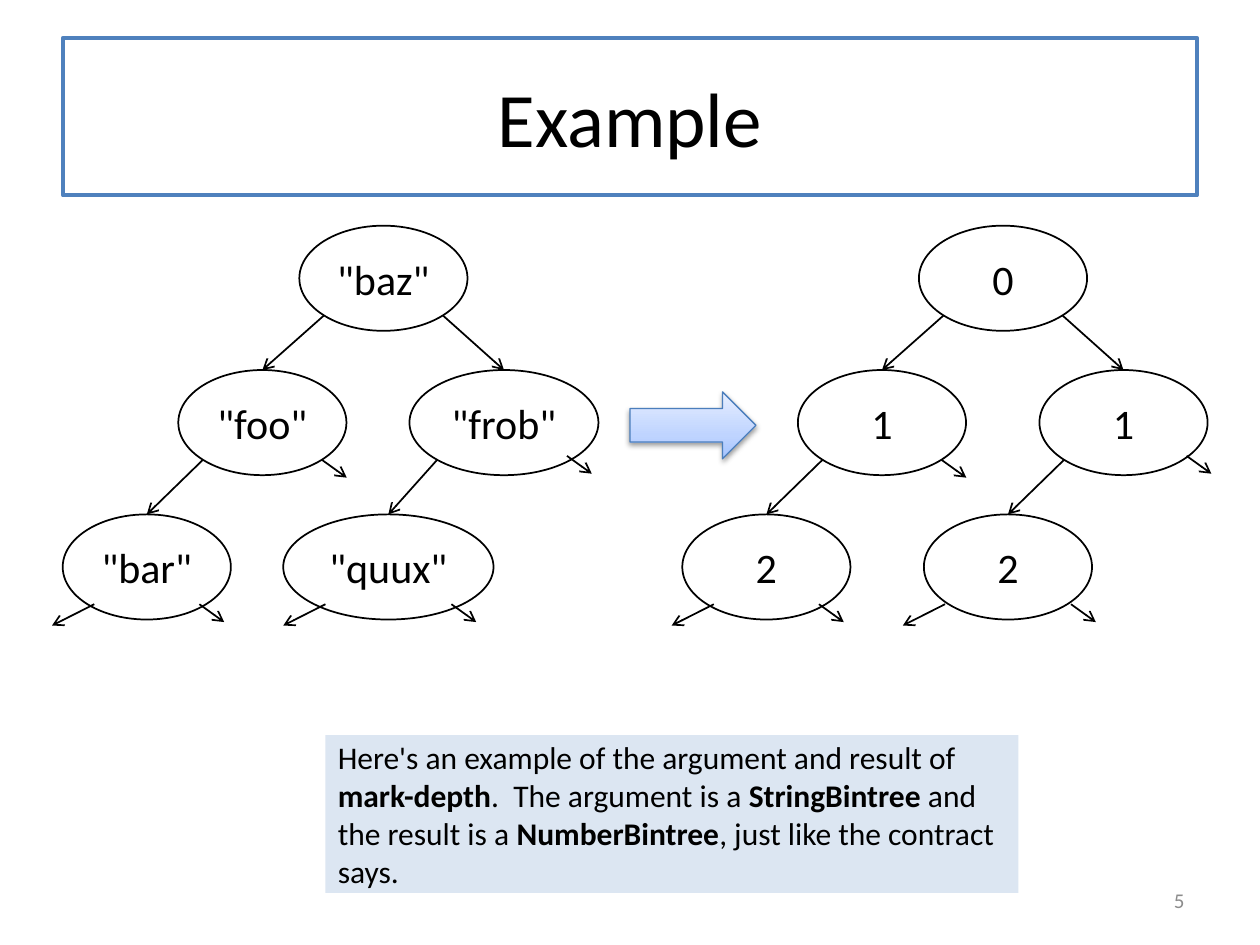
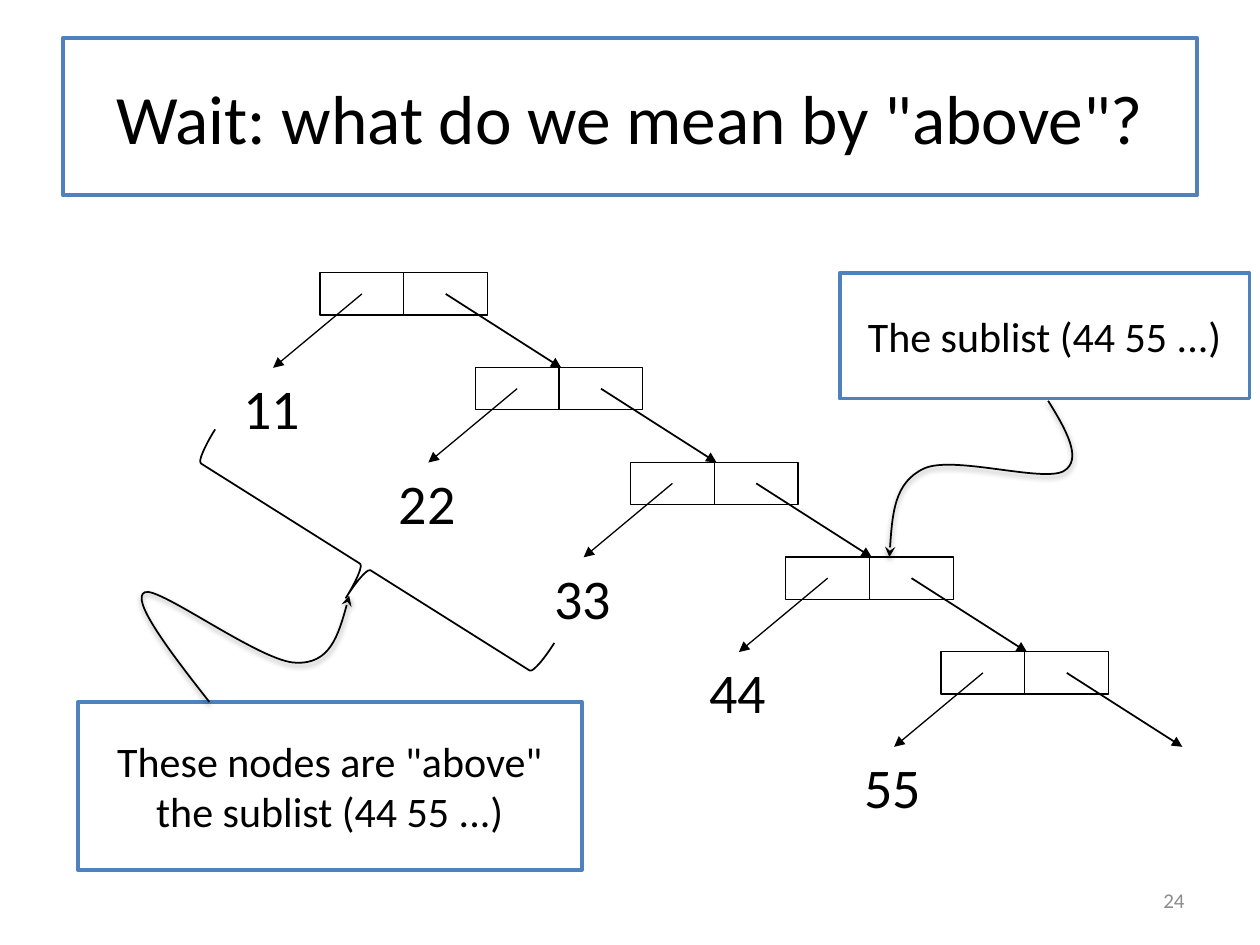
from lxml.etree import SubElement
from pptx import Presentation
from pptx.dml.color import RGBColor
from pptx.enum.shapes import MSO_CONNECTOR, MSO_SHAPE
from pptx.enum.text import MSO_ANCHOR, PP_ALIGN
from pptx.oxml.ns import qn
from pptx.util import Cm, Pt

FONT = "Calibri"
BLACK, WHITE, GREY = "000000", "FFFFFF", "8C8C8C"
FRAME_BLUE, NOTE_BLUE, ARROW_EDGE = "4F81BD", "DCE6F2", "4B7EBC"
ARROW_STOPS = [(0, "A4C4FF"), (35, "BFD4FF"), (100, "E6EEFF")]

# Binary trees: node name -> (centre x, level, width, parent)
NODE_WIDTH, NODE_HEIGHT = 3.39, 2.12
LEVEL_TOP, LEVEL_STEP = 4.55, 2.91
DIAGONAL = 0.707
TREE_NODES = {
    "root": (7.73, 0, None),
    "left": (5.29, 1, "root"),
    "right": (10.16, 1, "root"),
    "left leaf": (2.96, 2, "left"),
    "right leaf": (7.83, 2, "right"),
}
STUB_RIGHT, STUB_LEFT = (0.5, 0.36), (-0.85, 0.43)
# Empty branches: node name, start relative to the node's centre, direction
STUBS = [
    ("left", 1.2, 0.75, STUB_RIGHT),
    ("right", 1.27, 0.67, STUB_RIGHT),
    ("left leaf", 1.06, 0.75, STUB_RIGHT),
    ("left leaf", -1.06, 0.75, STUB_LEFT),
    ("right leaf", 1.27, 0.75, STUB_RIGHT),
    ("right leaf", -1.27, 0.75, STUB_LEFT),
]

# Linked list
CELL_WIDTH, CELL_HEIGHT = 1.69, 0.85
LIST_LEFT, LIST_TOP = 6.45, 5.5
PAIR_STEP_X, PAIR_STEP_Y = 3.13, 1.91

SUBLIST_CURVE = [
    (21.13, 8.08), (21.49, 8.66), (21.84, 9.27), (21.44, 9.5), (21.01, 9.73),
    (19.2, 9.17), (18.62, 9.45), (18.03, 9.73), (17.98, 10.46), (17.93, 11.23),
]
ABOVE_CURVE = [
    (4.22, 14.15), (3.4, 13.11), (2.62, 12.07), (2.92, 11.94), (3.2, 11.81),
    (5.28, 13.36), (5.97, 13.36), (6.65, 13.39), (6.86, 12.7), (7.04, 12.01),
]


def color(value):
    return RGBColor.from_string(value)


def set_fill(shape, value):
    if value is None:
        shape.fill.background()
    else:
        shape.fill.solid()
        shape.fill.fore_color.rgb = color(value)


def set_line(shape, value, width):
    if value is None:
        shape.line.fill.background()
    else:
        shape.line.color.rgb = color(value)
        shape.line.width = Pt(width)


def add_arrowhead(shape, kind):
    outline = shape.element.spPr.find(qn("a:ln"))
    SubElement(outline, qn("a:tailEnd"), type=kind)


def add_soft_shadow(shape):
    effects = shape.element.spPr.find(qn("a:effectLst"))
    shadow = SubElement(effects, qn("a:outerShdw"), blurRad="40000",
                        dist="20000", dir="5400000", rotWithShape="0")
    tone = SubElement(shadow, qn("a:srgbClr"), val=BLACK)
    SubElement(tone, qn("a:alpha"), val="38000")


def write(shape, spans, size, align=PP_ALIGN.CENTER, ink=BLACK,
          anchor=MSO_ANCHOR.MIDDLE, wrap=True):
    """Fill a shape with one paragraph of (text, bold) spans."""
    frame = shape.text_frame
    frame.word_wrap = wrap
    frame.vertical_anchor = anchor
    para = frame.paragraphs[0]
    para.alignment = align
    for text, bold in spans:
        span = para.add_run()
        span.text = text
        span.font.name = FONT
        span.font.size = Pt(size)
        span.font.bold = bold
        span.font.color.rgb = color(ink)


def add_box(shapes, kind, left, top, width, height, fill=None, line=BLACK,
            line_width=1):
    box = shapes.add_shape(kind, Cm(left), Cm(top), Cm(width), Cm(height))
    box.shadow.inherit = False
    set_fill(box, fill)
    set_line(box, line, line_width)
    return box


def add_label(page, text, left, top, width, height, size, **style):
    label = page.shapes.add_textbox(Cm(left), Cm(top), Cm(width), Cm(height))
    write(label, [(text, False)], size, **style)


def add_arrow(shapes, start, end, head, width=1, target=None):
    """Draw a straight arrow, joined to the top of target if there is one."""
    arrow = shapes.add_connector(MSO_CONNECTOR.STRAIGHT,
                                 *(Cm(value) for value in (*start, *end)))
    if target is not None:
        arrow.end_connect(target, 0)
    set_line(arrow, BLACK, width)
    add_arrowhead(arrow, head)
    SubElement(arrow.element.spPr, qn("a:effectLst"))


def add_curved_arrow(page, points):
    """Draw a Bezier arrow: a start point, then three points a segment."""
    start, *rest = [(Cm(x), Cm(y)) for x, y in points]
    builder = page.shapes.build_freeform(*start)
    builder.add_line_segments(rest, close=False)
    curve = builder.convert_to_shape()
    outline = next(curve.element.iter(qn("a:path")))
    steps = outline.findall(qn("a:lnTo"))
    for first in range(0, len(steps), 3):
        segment = SubElement(outline, qn("a:cubicBezTo"))
        for step in steps[first:first + 3]:
            segment.append(step[0])
            outline.remove(step)
    curve.shadow.inherit = False
    set_fill(curve, None)
    set_line(curve, BLACK, 1)
    add_arrowhead(curve, "stealth")
    add_soft_shadow(curve)


def add_page(deck, title_text, title_size, number):
    page = deck.slides.add_slide(deck.slide_layouts[5])
    title = page.shapes.title
    title.left, title.top = Cm(1.27), Cm(0.76)
    title.width, title.height = Cm(22.86), Cm(3.18)
    set_fill(title, WHITE)
    set_line(title, FRAME_BLUE, 2.25)
    write(title, [(title_text, False)], title_size)
    add_label(page, number, 18.2, 17.65, 5.93, 1.01, 12,
              align=PP_ALIGN.RIGHT, ink=GREY)
    return page


def add_tree(page, offset, labels, widths):
    shapes = page.shapes.add_group_shape().shapes
    nodes, places = {}, {}
    for name, (center, level, parent) in TREE_NODES.items():
        width = widths.get(name, NODE_WIDTH)
        x, top = center + offset, LEVEL_TOP + level * LEVEL_STEP
        node = add_box(shapes, MSO_SHAPE.OVAL, x - width / 2, top,
                       width, NODE_HEIGHT)
        write(node, [(labels[name], False)], 24)
        nodes[name], places[name] = node, (x, top + NODE_HEIGHT / 2, width)
        if parent:
            parent_x, parent_y, parent_width = places[parent]
            side = 1 if x > parent_x else -1
            start = (parent_x + side * DIAGONAL * parent_width / 2,
                     parent_y + DIAGONAL * NODE_HEIGHT / 2)
            add_arrow(shapes, start, (x, top), "arrow", target=node)
    for name, shift_x, shift_y, (run, drop) in STUBS:
        x, y = places[name][0] + shift_x, places[name][1] + shift_y
        add_arrow(shapes, (x, y), (x + run, y + drop), "arrow")


def add_result_arrow(page):
    arrow = add_box(page.shapes, MSO_SHAPE.RIGHT_ARROW, 12.7, 7.9, 2.54, 1.35,
                    line=ARROW_EDGE, line_width=0.75)
    arrow.fill.gradient()
    gradient = arrow.element.spPr.find(qn("a:gradFill"))
    stops = gradient.find(qn("a:gsLst"))
    for stop in list(stops):
        stops.remove(stop)
    for position, tone in ARROW_STOPS:
        stop = SubElement(stops, qn("a:gs"), pos=str(position * 1000))
        SubElement(stop, qn("a:srgbClr"), val=tone)
    gradient.find(qn("a:lin")).set("ang", str(270 * 60000))
    add_soft_shadow(arrow)


def add_pair(page, left, top, value):
    """Draw a two-cell list node with its value and its two pointers."""
    shapes = page.shapes.add_group_shape().shapes
    for column in range(2):
        add_box(shapes, MSO_SHAPE.RECTANGLE, left + column * CELL_WIDTH, top,
                CELL_WIDTH, CELL_HEIGHT, line_width=0.75)
    y = top + CELL_HEIGHT / 2
    for column, run, width in ((0.5, -1.79, 0.75), (1.5, 2.33, 1)):
        x = left + column * CELL_WIDTH
        add_arrow(shapes, (x, y), (x + run, y + 1.49), "triangle", width)
    add_label(page, value, left - 1.79, top + 1.91, 1.68, 1.62, 32,
              align=PP_ALIGN.LEFT, anchor=MSO_ANCHOR.TOP, wrap=False)


def add_callout(page, text, left, top, width, height):
    callout = add_box(page.shapes, MSO_SHAPE.RECTANGLE, left, top, width,
                      height, WHITE, FRAME_BLUE, 2)
    write(callout, [(text, False)], 24)


def build_example(deck):
    page = add_page(deck, "Example", 44, "5")
    add_tree(page, 12.49, dict(zip(TREE_NODES, "01122")), {})
    add_result_arrow(page)
    words = ['"baz"', '"foo"', '"frob"', '"bar"', '"quux"']
    add_tree(page, 0, dict(zip(TREE_NODES, words)),
             {"right": 3.81, "right leaf": 4.24})
    note = add_box(page.shapes, MSO_SHAPE.RECTANGLE, 6.56, 14.82, 13.97, 3.18,
                   NOTE_BLUE, None)
    write(note, [
        ("Here's an example of the argument and result of ", False),
        ("mark-depth", True),
        (".  The argument is a ", False),
        ("StringBintree", True),
        (" and the result is a ", False),
        ("NumberBintree", True),
        (", just like the contract says.", False),
    ], 18, align=PP_ALIGN.LEFT)


def build_above(deck):
    page = add_page(deck, 'Wait: what do we mean by "above"?', 39.6, "24")
    for index, value in enumerate(["11", "22", "33", "44", "55"]):
        add_pair(page, LIST_LEFT + index * PAIR_STEP_X,
                 LIST_TOP + index * PAIR_STEP_Y, value)
    brace = add_box(page.shapes, MSO_SHAPE.LEFT_BRACE, 6.63, 7.39, 1.47, 8.08)
    brace.rotation = 302.2
    add_callout(page, 'These nodes are "above" the sublist (44 55 ...)',
                1.57, 14.15, 10.16, 3.39)
    add_callout(page, "The sublist (44 55 ...)", 16.93, 5.5, 8.26, 2.54)
    add_curved_arrow(page, SUBLIST_CURVE)
    add_curved_arrow(page, ABOVE_CURVE)


def main():
    deck = Presentation()
    deck.slide_width, deck.slide_height = Cm(25.4), Cm(19.05)
    build_example(deck)
    build_above(deck)
    deck.save("out.pptx")


if __name__ == "__main__":
    main()
